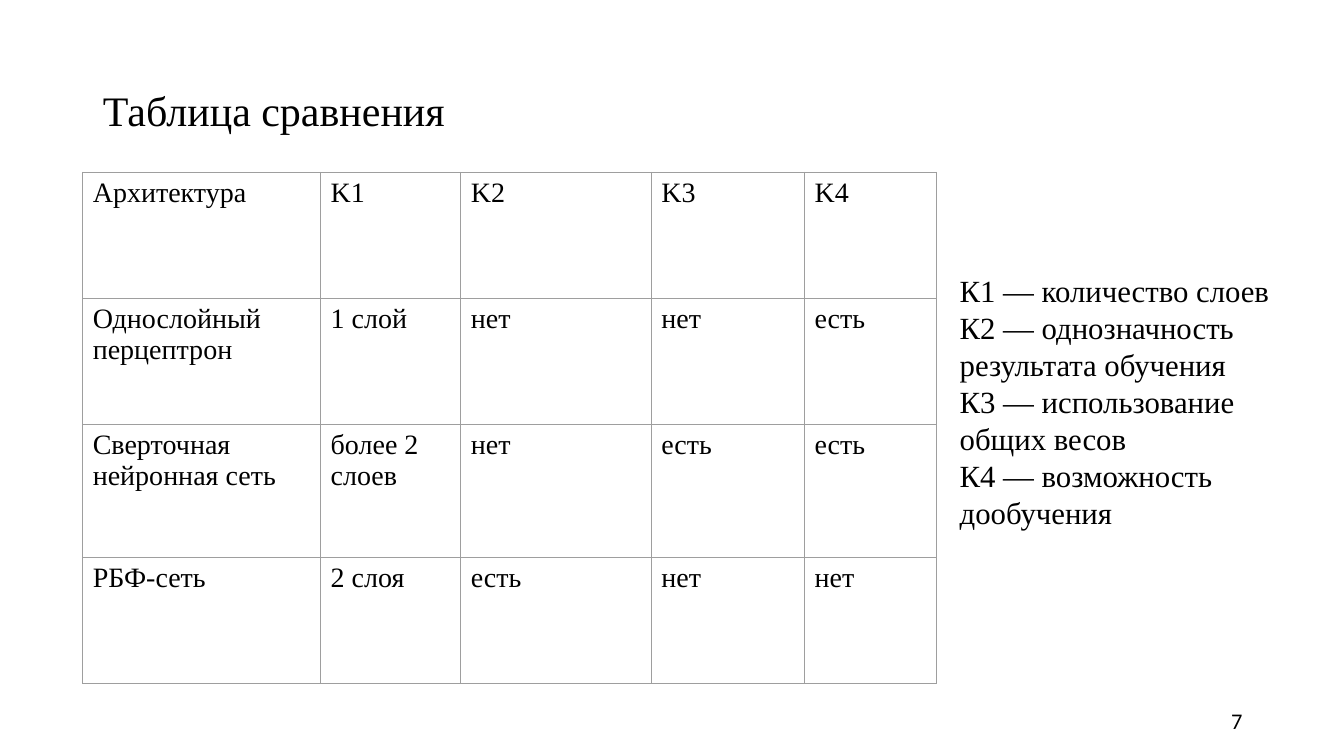
from lxml.etree import SubElement
from pptx import Presentation
from pptx.dml.color import RGBColor
from pptx.enum.text import MSO_ANCHOR, PP_ALIGN
from pptx.oxml.ns import qn
from pptx.util import Inches, Pt

BLACK = RGBColor(0x00, 0x00, 0x00)
BORDER_GRAY = RGBColor(0x9E, 0x9E, 0x9E)
SERIF = "Times New Roman"

TITLE = "Таблица сравнения"
PAGE_NUMBER = "7"
COMPARISON = [
    ("Архитектура", "K1", "K2", "K3", "K4"),
    ("Однослойный перцептрон", "1 слой", "нет", "нет", "есть"),
    ("Сверточная нейронная сеть", "более 2 слоев", "нет", "есть", "есть"),
    ("РБФ-сеть", "2 слоя", "есть", "нет", "нет"),
]
CRITERIA = [
    "К1 — количество слоев",
    "К2 — однозначность результата обучения",
    "К3 — использование общих весов",
    "К4 — возможность дообучения",
]
COLUMN_WIDTHS = (2.36, 1.39, 1.89, 1.52, 1.31)
ROW_HEIGHTS = (1.25, 1.25, 1.32, 1.25)

TITLE_FONT = {"name": SERIF, "size": Pt(30)}
TABLE_FONT = {"name": SERIF, "size": Pt(20)}
CRITERIA_FONT = {"name": SERIF, "size": Pt(22)}
NUMBER_FONT = {"name": "Calibri", "size": Pt(16)}


def write_lines(text_frame, lines, font_format, **paragraph_format):
    """Write one paragraph per line with the given formats."""
    text_frame.word_wrap = True
    for index, line in enumerate(lines):
        paragraph = text_frame.add_paragraph() if index else text_frame.paragraphs[0]
        for name, value in paragraph_format.items():
            setattr(paragraph, name, value)
        run = paragraph.add_run()
        run.text = line
        for name, value in font_format.items():
            setattr(run.font, name, value)
        run.font.color.rgb = BLACK


def set_borders(cell):
    """Draw a thin gray line on each side of a cell."""
    properties = cell._tc.get_or_add_tcPr()
    for position, side in enumerate(("a:lnL", "a:lnR", "a:lnT", "a:lnB")):
        line = SubElement(properties, qn(side), w=str(Pt(0.75)))
        fill = SubElement(line, qn("a:solidFill"))
        SubElement(fill, qn("a:srgbClr"), val=str(BORDER_GRAY))
        properties.insert(position, line)


def add_title(slide):
    """Place and format the title."""
    title = slide.shapes.title
    title.left, title.top = Inches(0.92), Inches(0.4)
    title.width, title.height = Inches(11.5), Inches(1.45)
    title.text_frame.vertical_anchor = MSO_ANCHOR.MIDDLE
    write_lines(title.text_frame, [TITLE], TITLE_FONT,
                alignment=PP_ALIGN.LEFT, line_spacing=0.9)


def add_comparison(slide):
    """Add the comparison table."""
    table = slide.shapes.add_table(
        len(ROW_HEIGHTS), len(COLUMN_WIDTHS), Inches(0.82), Inches(1.71),
        Inches(sum(COLUMN_WIDTHS)), Inches(sum(ROW_HEIGHTS))).table
    table.first_row = table.horz_banding = False
    for column, width in zip(table.columns, COLUMN_WIDTHS):
        column.width = Inches(width)
    for row, height, texts in zip(table.rows, ROW_HEIGHTS, COMPARISON):
        row.height = Inches(height)
        for cell, text in zip(row.cells, texts):
            cell.fill.background()
            set_borders(cell)
            write_lines(cell.text_frame, [text], TABLE_FONT)


def main():
    """Build the slide and save it."""
    presentation = Presentation()
    presentation.slide_width, presentation.slide_height = Inches(13.33), Inches(7.5)
    slide = presentation.slides.add_slide(presentation.slide_layouts[5])
    add_title(slide)
    add_comparison(slide)

    criteria = slide.shapes.add_textbox(
        Inches(9.42), Inches(2.65), Inches(3.5), Inches(2.67))
    write_lines(criteria.text_frame, CRITERIA, CRITERIA_FONT)

    number = slide.shapes.add_textbox(
        Inches(9.42), Inches(6.95), Inches(3), Inches(0.4))
    number.text_frame.vertical_anchor = MSO_ANCHOR.MIDDLE
    write_lines(number.text_frame, [PAGE_NUMBER], NUMBER_FONT,
                alignment=PP_ALIGN.RIGHT)
    presentation.save("out.pptx")


if __name__ == "__main__":
    main()
